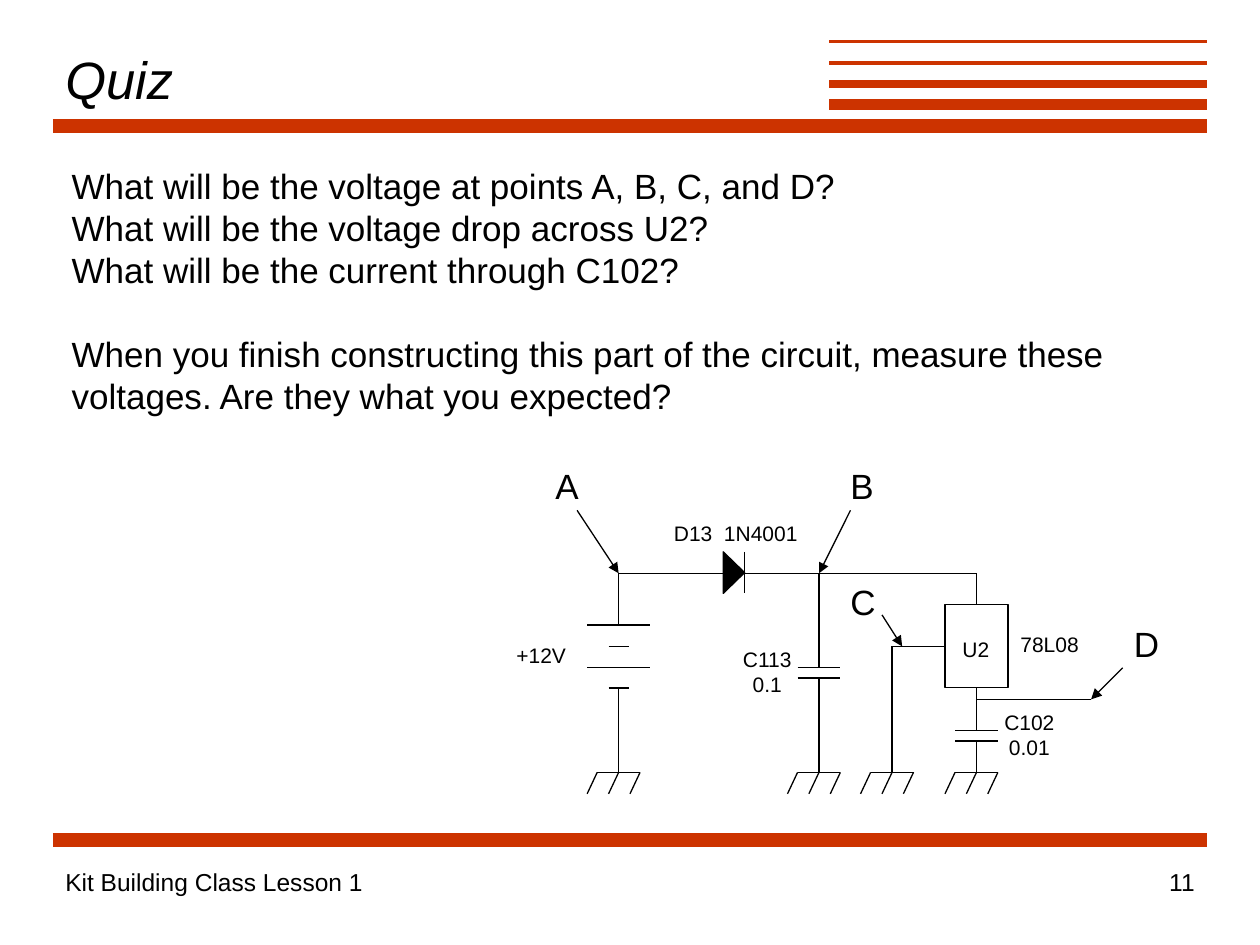
from lxml import etree
from pptx import Presentation
from pptx.dml.color import RGBColor
from pptx.enum import shapes as sh, text as tx
from pptx.oxml.ns import qn
from pptx.util import Inches, Pt

RED, BLACK = "CC3300", "000000"
LEFT, RIGHT = 0.42, 9.58

# left, y, width in points
RULES = [(LEFT, 1, 8), (6.58, 0.83, 6), (6.58, 0.67, 4.5),
         (6.58, 0.5, 2.25), (6.58, 0.33, 1.5), (LEFT, 6.67, 8)]

QUIZ = ["What will be the voltage at points A, B, C, and D?",
        "What will be the voltage drop across U2?",
        "What will be the current through C102?",
        "When you finish constructing this part of the circuit, measure these",
        "voltages. Are they what you expected?"]
GAP_AT = 3  # the line that follows the gap

# box, lines, format
FRAMES = [
    ((LEFT, 0.33, 6.17, 0.58), ["Quiz"],
     dict(size=30, italic=True, anchor=tx.MSO_ANCHOR.MIDDLE)),
    ((LEFT, 6.83, 6.92, 0.5), ["Kit Building Class Lesson 1"], dict(size=14)),
    ((7.5, 6.83, 2.08, 0.5), ["11"], dict(size=14, align=tx.PP_ALIGN.RIGHT)),
    ((0.47, 1.26, 8.4, 2.1), QUIZ, dict(size=20, wrap=False, gap=GAP_AT)),
]
PARTS = [
    ((3.97, 5.05, 0.65, 0.3), ["+12V"]),
    ((5.22, 4.08, 1.24, 0.3), ["D13  1N4001"]),
    ((5.76, 5.08, 0.66, 0.5), ["C113", "0.1"]),
    ((7.84, 5.58, 0.66, 0.5), ["C102", "0.01"]),
    ((7.51, 5, 0.47, 0.3), ["U2"]),
    ((7.97, 4.96, 0.72, 0.3), ["78L08"]),
]
# name, label box, arrow from, arrow to
POINTS = [
    ("A", (4.31, 3.64, 0.4, 0.44), (4.58, 4.05), (4.91, 4.55)),
    ("B", (6.65, 3.64, 0.4, 0.44), (6.75, 4.05), (6.5, 4.55)),
    ("C", (6.65, 4.56, 0.42, 0.44), (7, 4.88), (7.16, 5.13)),
    ("D", (8.9, 4.89, 0.42, 0.44), (8.91, 5.3), (8.66, 5.55)),
]

BAT, C113, COM, C102 = 4.91, 6.5, 7.08, 7.75  # upright wires
RAIL, GROUND = 4.55, 6.13
WIRES = [
    ((BAT, 5.46), (BAT, GROUND)), ((BAT, 4.96), (BAT, RAIL)),
    ((BAT, RAIL), (5.75, RAIL)), ((5.91, RAIL), (C102, RAIL)),
    ((5.91, 4.38), (5.91, 4.71)),
    ((C113, RAIL), (C113, 5.3)), ((C113, 5.38), (C113, GROUND)),
    ((COM, GROUND), (COM, 5.13)),
    ((C102, 5.88), (C102, GROUND)), ((C102, 5.55), (8.66, 5.55)),
]
CHIP = (7.5, 4.8, 0.5, 0.66)
# far end, near end, side of the chip
PINS = [((C102, RAIL), (C102, 4.8), 0), ((COM, 5.13), (7.5, 5.13), 1),
        ((C102, 5.8), (C102, 5.46), 2)]
CAPS = [(C113, 5.3), (C102, 5.8)]
CELLS = [(4.96, 0.25), (5.13, 0.08), (5.3, 0.25), (5.46, 0.08)]

prs = Presentation()
prs.slide_width, prs.slide_height = Inches(10), Inches(7.5)
slide = prs.slides.add_slide(prs.slide_layouts[6])


def color(hue):
    return RGBColor.from_string(hue)


def line(start, end, hue=BLACK, width=0.75, arrow=False):
    ends = [Inches(v) for v in (*start, *end)]
    wire = slide.shapes.add_connector(sh.MSO_CONNECTOR.STRAIGHT, *ends)
    wire.line.color.rgb = color(hue)
    wire.line.width = Pt(width)
    props = wire._element.spPr
    if arrow:
        etree.SubElement(props.find(qn("a:ln")), qn("a:tailEnd"), type="triangle")
    etree.SubElement(props, qn("a:effectLst"))
    return wire


def bar(x, y, half):
    """Level line centred on x."""
    line((x - half, y), (x + half, y))


def solid(kind, box):
    part = slide.shapes.add_shape(kind, *map(Inches, box))
    part.shadow.inherit = False
    part.line.color.rgb = color(BLACK)
    part.line.width = Pt(0.75)
    return part


def label(box, lines, size, italic=False, align=tx.PP_ALIGN.LEFT,
          anchor=tx.MSO_ANCHOR.TOP, wrap=True, gap=None):
    frame = slide.shapes.add_textbox(*map(Inches, box)).text_frame
    fit = tx.MSO_AUTO_SIZE.NONE if wrap else tx.MSO_AUTO_SIZE.SHAPE_TO_FIT_TEXT
    look = dict(word_wrap=wrap, auto_size=fit, vertical_anchor=anchor)
    for key, val in look.items():
        setattr(frame, key, val)
    face = dict(name="Arial", size=Pt(size), italic=italic)
    for i, words in enumerate(lines):
        para = frame.paragraphs[0] if i == 0 else frame.add_paragraph()
        para.alignment = align
        if i == gap:
            para.space_before = Pt(size * 1.2)
        run = para.add_run()
        run.text = words
        for key, val in face.items():
            setattr(run.font, key, val)
        run.font.color.rgb = color(BLACK)


for x, y, width in RULES:
    line((x, y), (RIGHT, y), RED, width)

for start, end in WIRES:
    line(start, end)
for y, half in CELLS:
    bar(BAT, y, half)
for x, y in CAPS:
    bar(x, y, 0.17)
    bar(x, y + 0.08, 0.17)
for x in (BAT, C113, COM, C102):
    bar(x, GROUND, 0.17)
    for step in (-0.17, 0, 0.17):
        line((x + step, GROUND), (x + step - 0.08, GROUND + 0.17))

diode = solid(sh.MSO_SHAPE.ISOSCELES_TRIANGLE, (5.66, 4.46, 0.33, 0.17))
diode.rotation = 90
diode.fill.solid()
diode.fill.fore_color.rgb = color(BLACK)

chip = solid(sh.MSO_SHAPE.RECTANGLE, CHIP)
chip.fill.background()
for far, near, side in PINS:
    line(far, near).end_connect(chip, side)

for box, lines, form in FRAMES:
    label(box, lines, **form)
for box, lines in PARTS:
    label(box, lines, 12, align=tx.PP_ALIGN.CENTER, wrap=False)
for name, box, start, end in POINTS:
    label(box, [name], 20, wrap=False)
    line(start, end, arrow=True)

prs.save("out.pptx")
